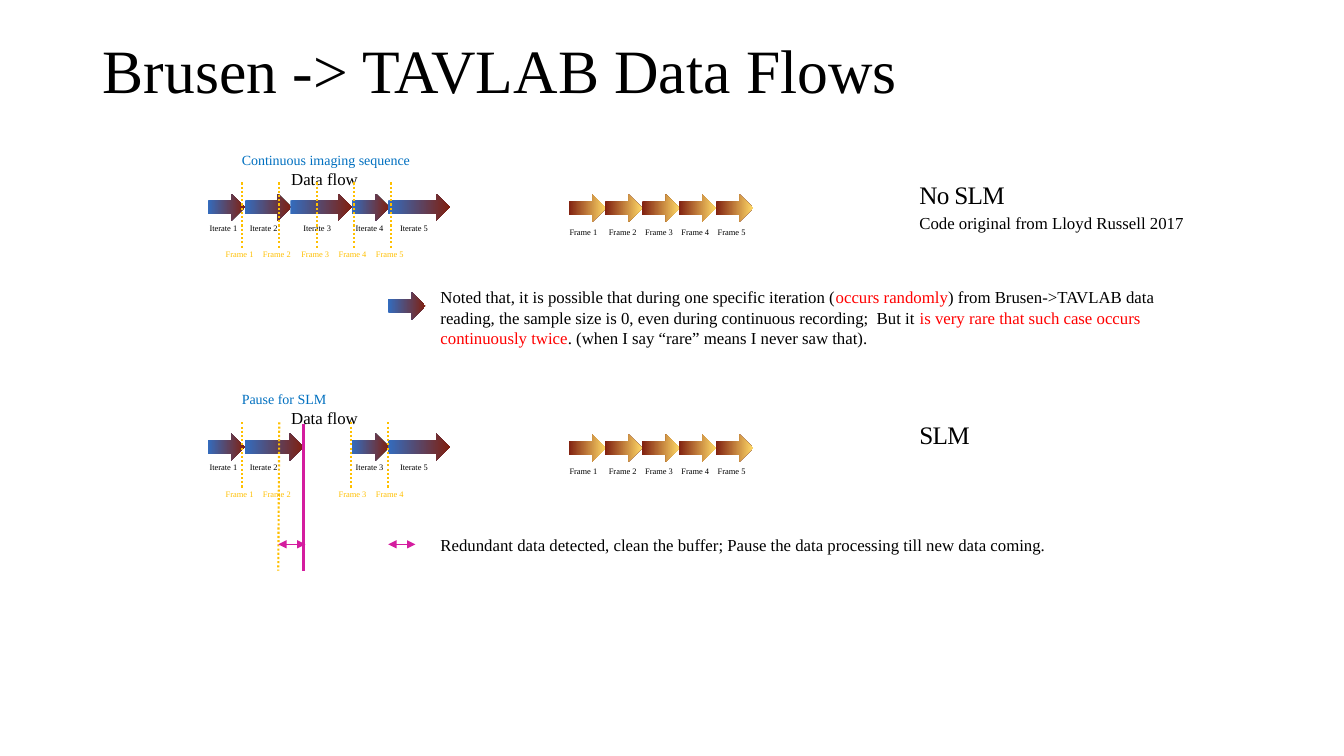
from dataclasses import dataclass
from typing import Optional

from lxml.etree import SubElement
from pptx import Presentation
from pptx.dml.color import RGBColor
from pptx.enum.dml import MSO_LINE_DASH_STYLE as Dash
from pptx.enum.shapes import MSO_CONNECTOR as Connector, MSO_SHAPE as Shape
from pptx.enum.text import MSO_ANCHOR as Anchor, MSO_AUTO_SIZE as AutoSize, PP_ALIGN as Align
from pptx.oxml.ns import qn
from pptx.shapes.shapetree import _BaseGroupShapes as Shapes
from pptx.util import Pt

PX = 9144
FONT = "Times New Roman"
COLORS = {
    "black": "000000", "red": "FF0000", "heading": "0070C0", "marker": "FFC000",
    "pause": "D41C9F", "blue": "336CBE", "brown": "802010", "sand": "FFD966",
}
DATA = ("blue", "brown")
FRAME = ("brown", "sand")
ARROW_WIDTH, ARROW_HEIGHT = 37, 27
RECEIVED_LABELS = (555, 594, 630, 666, 702)


@dataclass(frozen=True)
class Iteration:
    left: int
    width: int
    label_left: int
    label: str


@dataclass(frozen=True)
class Marker:
    top_x: int
    bottom_x: int
    length: int
    label_left: int


@dataclass(frozen=True)
class Sequence:
    top: int
    heading: str
    title: str
    iterations: tuple[Iteration, ...]
    markers: tuple[Marker, ...]
    note_top: int
    note_width: int
    note_height: int
    note: tuple[tuple[str, str], ...]
    subtitle: Optional[str] = None


SEQUENCES = (
    Sequence(
        145, "Continuous imaging sequence", "No SLM",
        (
            Iteration(206, 37, 198, "Iterate 1"),
            Iteration(243, 46, 238, "Iterate 2"),
            Iteration(288, 61, 291, "Iterate 3"),
            Iteration(349, 37, 343, "Iterate 4"),
            Iteration(385, 61, 387, "Iterate 5"),
        ),
        (
            Marker(240, 240, 65, 214),
            Marker(277, 277, 65, 251),
            Marker(314, 314, 65, 289),
            Marker(351, 351, 65, 326),
            Marker(388, 388, 65, 363),
        ),
        280, 775, 71,
        (
            ("Noted that, it is possible that during one specific iteration (", "black"),
            ("occurs randomly", "red"),
            (") from Brusen->TAVLAB data reading, the sample size is 0, even during "
             "continuous recording;  But it ", "black"),
            ("is very rare that such case occurs continuously twice", "red"),
            (". (when I say “rare” means I never saw that).", "black"),
        ),
        "Code original from Lloyd Russell 2017",
    ),
    Sequence(
        383, "Pause for SLM", "SLM",
        (
            Iteration(206, 37, 198, "Iterate 1"),
            Iteration(243, 58, 238, "Iterate 2"),
            Iteration(349, 37, 343, "Iterate 3"),
            Iteration(385, 61, 387, "Iterate 5"),
        ),
        (
            Marker(240, 240, 65, 214),
            Marker(277, 276, 147, 251),
            Marker(348, 348, 65, 326),
            Marker(385, 385, 65, 363),
        ),
        526, 621, 50,
        (("Redundant data detected, clean the buffer; Pause the data processing "
          "till new data coming.", "black"),),
    ),
)


def rgb(name: str) -> RGBColor:
    return RGBColor.from_string(COLORS[name])


def add_text(shapes: Shapes, left: int, top: int, width: int, height: int,
             runs: tuple[tuple[str, str], ...], size: int,
             wrap: bool = True, spacing: int = 0) -> None:
    box = shapes.add_textbox(left * PX, top * PX, width * PX, height * PX)
    box.text_frame.word_wrap = wrap
    paragraph = box.text_frame.paragraphs[0]
    paragraph.font.name = FONT
    paragraph.font.size = Pt(size)
    if len(runs) == 1:
        paragraph.font.color.rgb = rgb(runs[0][1])
    for text, color in runs:
        run = paragraph.add_run()
        run.text = text
        if len(runs) > 1:
            run.font.color.rgb = rgb(color)
        if spacing:
            run._r.get_or_add_rPr().set("spc", str(spacing))


def add_label(shapes: Shapes, left: int, top: int, text: str, color: str = "black") -> None:
    add_text(shapes, left, top, 49, 20, ((text, color),), 6, wrap=False)


def add_arrow(shapes: Shapes, left: int, top: int, width: int,
              gradient: tuple[str, str]) -> None:
    arrow = shapes.add_shape(Shape.RIGHT_ARROW, left * PX, top * PX,
                             width * PX, ARROW_HEIGHT * PX)
    arrow.shadow.inherit = False
    arrow.line.fill.background()
    arrow.fill.gradient()
    arrow.fill.gradient_angle = 0
    for stop, color, position in zip(arrow.fill.gradient_stops, gradient, (0, 1)):
        stop.color.rgb = rgb(color)
        stop.position = position


def add_line(shapes: Shapes, start: tuple[int, int], end: tuple[int, int], color: str,
             width: float, dotted: bool = False, arrowheads: bool = False) -> None:
    line = shapes.add_connector(Connector.STRAIGHT, start[0] * PX, start[1] * PX,
                                end[0] * PX, end[1] * PX)
    line.line.color.rgb = rgb(color)
    line.line.width = Pt(width)
    if dotted:
        line.line.dash_style = Dash.ROUND_DOT
    if arrowheads:
        outline = line.line._get_or_add_ln()
        for tag in ("a:headEnd", "a:tailEnd"):
            SubElement(outline, qn(tag), type="triangle")
    SubElement(line._element.spPr, qn("a:effectLst"))


def add_sequence(shapes: Shapes, sequence: Sequence) -> None:
    top = sequence.top
    add_text(shapes, 279, top + 17, 126, 30, (("Data flow", "black"),), 12)
    add_text(shapes, 230, top, 223, 27, ((sequence.heading, "heading"),), 10)
    for iteration in sequence.iterations:
        add_arrow(shapes, iteration.left, top + 47, iteration.width, DATA)
        add_text(shapes, iteration.label_left, top + 71, 56, 20,
                 ((iteration.label, "black"),), 6)
    for index, label_left in enumerate(RECEIVED_LABELS):
        add_arrow(shapes, 564 + index * 73 // 2, top + 48, ARROW_WIDTH, FRAME)
        add_label(shapes, label_left, top + 75, f"Frame {index + 1}")
    add_text(shapes, 902, top + 28, 107, 40, ((sequence.title, "black"),), 18, spacing=-50)
    if sequence.subtitle:
        add_text(shapes, 902, top + 61, 428, 30, ((sequence.subtitle, "black"),), 12)
        add_arrow(shapes, 385, sequence.note_top + 10, ARROW_WIDTH, DATA)
    add_text(shapes, 427, sequence.note_top, sequence.note_width, sequence.note_height,
             sequence.note, 12)
    for number, marker in enumerate(sequence.markers, 1):
        add_label(shapes, marker.label_left, top + 97, f"Frame {number}", "marker")
        add_line(shapes, (marker.top_x, top + 36),
                 (marker.bottom_x, top + 36 + marker.length), "marker", 1.5, dotted=True)


def main() -> None:
    presentation = Presentation()
    presentation.slide_width, presentation.slide_height = 1333 * PX, 750 * PX
    slide = presentation.slides.add_slide(presentation.slide_layouts[5])

    title = slide.shapes.title
    title.left, title.top, title.width, title.height = 92 * PX, 0, 1150 * PX, 145 * PX
    title.text_frame.text = "Brusen -> TAVLAB Data Flows"
    title.text_frame.vertical_anchor = Anchor.MIDDLE
    title.text_frame.auto_size = AutoSize.NONE
    paragraph = title.text_frame.paragraphs[0]
    paragraph.alignment = Align.LEFT
    paragraph.line_spacing = 0.9
    paragraph.font.name = FONT
    paragraph.font.size = Pt(44)
    paragraph.font.color.rgb = rgb("black")

    for sequence in SEQUENCES:
        add_sequence(slide.shapes.add_group_shape().shapes, sequence)

    add_line(slide.shapes, (301, 421), (301, 566), "pause", 1.5)
    for left in (276, 385):
        add_line(slide.shapes, (left, 540), (left + 27, 540), "pause", 0.5, arrowheads=True)

    presentation.save("out.pptx")


if __name__ == "__main__":
    main()
